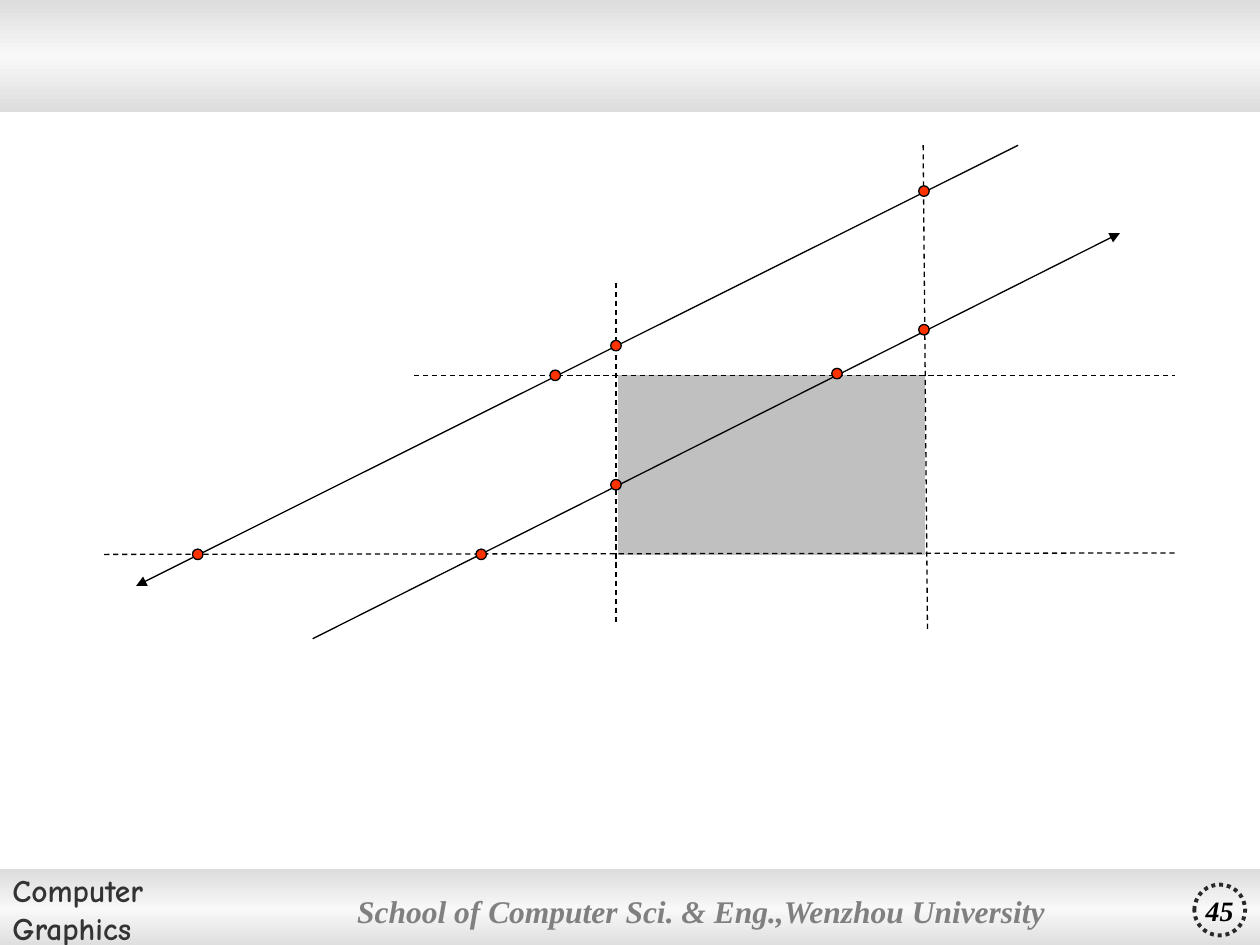
from copy import deepcopy

from lxml import etree
from pptx import Presentation
from pptx import util as u
from pptx.dml.color import RGBColor
from pptx.enum import dml, shapes, text
from pptx.oxml.ns import qn

COLORS = {
    "edge": "DDDDDD",
    "sheen": "F8F8F8",
    "course": "333333",
    "school": "808080",
    "ring": "292929",
    "black": "000000",
    "window": "C0C0C0",
    "dot": "FF3300",
}
SERIF = "Times New Roman"
COMIC = "Comic Neue"


def rgb(name):
    return RGBColor.from_string(COLORS[name])


class Board:
    """Holds the style and the slide being drawn on; lengths are in points."""

    thin = 0.75
    dot_size = 6

    def __init__(self, slide):
        self.slide = slide

    def shape(self, kind, left, top, width, height, fill=None, line=None,
              weight=thin):
        shape = self.slide.shapes.add_shape(
            kind, u.Pt(left), u.Pt(top), u.Pt(width), u.Pt(height))
        shape.shadow.inherit = False
        if fill:
            shape.fill.solid()
            shape.fill.fore_color.rgb = rgb(fill)
        else:
            shape.fill.background()
        if line:
            shape.line.color.rgb = rgb(line)
            shape.line.width = u.Pt(weight)
        else:
            shape.line.fill.background()
        return shape

    def band(self, top, height):
        """Add a full-width bar that is light in the middle."""
        shape = self.shape(shapes.MSO_SHAPE.RECTANGLE, 0, top, 720, height)
        shape.fill.gradient()
        shape.fill.gradient_angle = 90
        first, middle = shape.fill.gradient_stops
        first.color.rgb, first.position = rgb("edge"), 0
        middle.color.rgb, middle.position = rgb("sheen"), 0.5
        stops = shape._element.spPr.find(".//" + qn("a:gsLst"))
        last = deepcopy(stops[0])
        last.set("pos", "100000")
        stops.append(last)
        return shape

    def label(self, shape, lines, font, size, color, italic=False,
              align=text.PP_ALIGN.LEFT, wrap=True, inset=(7.2, 3.6)):
        frame = shape.text_frame
        frame.word_wrap = wrap
        frame.vertical_anchor = text.MSO_ANCHOR.MIDDLE
        frame.margin_left = frame.margin_right = u.Pt(inset[0])
        frame.margin_top = frame.margin_bottom = u.Pt(inset[1])
        for index, line in enumerate(lines):
            paragraph = frame.add_paragraph() if index else frame.paragraphs[0]
            paragraph.alignment = align
            run = paragraph.add_run()
            run.text = line
            run.font.name = font
            run.font.size = u.Pt(size)
            run.font.bold = True
            run.font.italic = italic
            run.font.color.rgb = rgb(color)

    def line(self, start, end, dashed=False, arrow=False):
        connector = self.slide.shapes.add_connector(
            shapes.MSO_CONNECTOR.STRAIGHT, *(u.Pt(n) for n in start + end))
        connector.line.color.rgb = rgb("black")
        connector.line.width = u.Pt(self.thin)
        if dashed:
            connector.line.dash_style = dml.MSO_LINE.DASH
        properties = connector._element.spPr
        if arrow:
            etree.SubElement(properties.find(qn("a:ln")), qn("a:tailEnd"),
                             type="triangle")
        etree.SubElement(properties, qn("a:effectLst"))

    def dot(self, x, y):
        size = self.dot_size
        self.shape(shapes.MSO_SHAPE.OVAL, x - size / 2, y - size / 2,
                   size, size, "dot", "black")


def main():
    presentation = Presentation()
    presentation.slide_width, presentation.slide_height = u.Pt(720), u.Pt(540)
    board = Board(presentation.slides.add_slide(presentation.slide_layouts[6]))

    footer = board.band(496.8, 45.2)
    board.label(footer, ["Computer", "Graphics"], COMIC, 18, "course")
    board.band(0, 64)

    school = board.shape(shapes.MSO_SHAPE.ROUNDED_RECTANGLE,
                         200.2, 496.8, 431.3, 47.5)
    school.adjustments[0] = 0.02
    board.label(school, ["School of Computer Sci. & Eng.,Wenzhou University"],
                SERIF, 18, "school", italic=True, inset=(3.6, 1.44))

    number = board.shape(shapes.MSO_SHAPE.OVAL, 682.5, 505.5, 29, 29,
                         line="ring", weight=2.25)
    number.line.dash_style = dml.MSO_LINE.ROUND_DOT
    board.label(number, ["45"], SERIF, 16, "black", italic=True,
                align=text.PP_ALIGN.CENTER, wrap=False)

    # Clipping window and the extensions of its four edges
    left, right, top, bottom = 352, 528, 214.5, 316.8
    board.shape(shapes.MSO_SHAPE.RECTANGLE, left + 1.5, top,
                right - left - 1.5, bottom - top, "window", "window")
    for start, end in [
        ((left, 161.5), (left, 356)),
        ((right - 0.5, 83), (right + 2, 360.5)),
        ((236.5, top), (671.5, top)),
        ((59.5, bottom), (671.5, bottom - 0.8)),
    ]:
        board.line(start, end, dashed=True)

    # Directed lines to be clipped
    board.line((178.7, 365), (640, 133.2), arrow=True)
    board.line((581.8, 83), (77.8, 334.8), arrow=True)

    for x, y in [
        (113, bottom), (317.3, top), (left, 197.5), (right, 109.2),
        (right, 188.4), (478.3, 213.5), (left, 277), (275, bottom),
    ]:
        board.dot(x, y)

    presentation.save("out.pptx")


if __name__ == "__main__":
    main()
